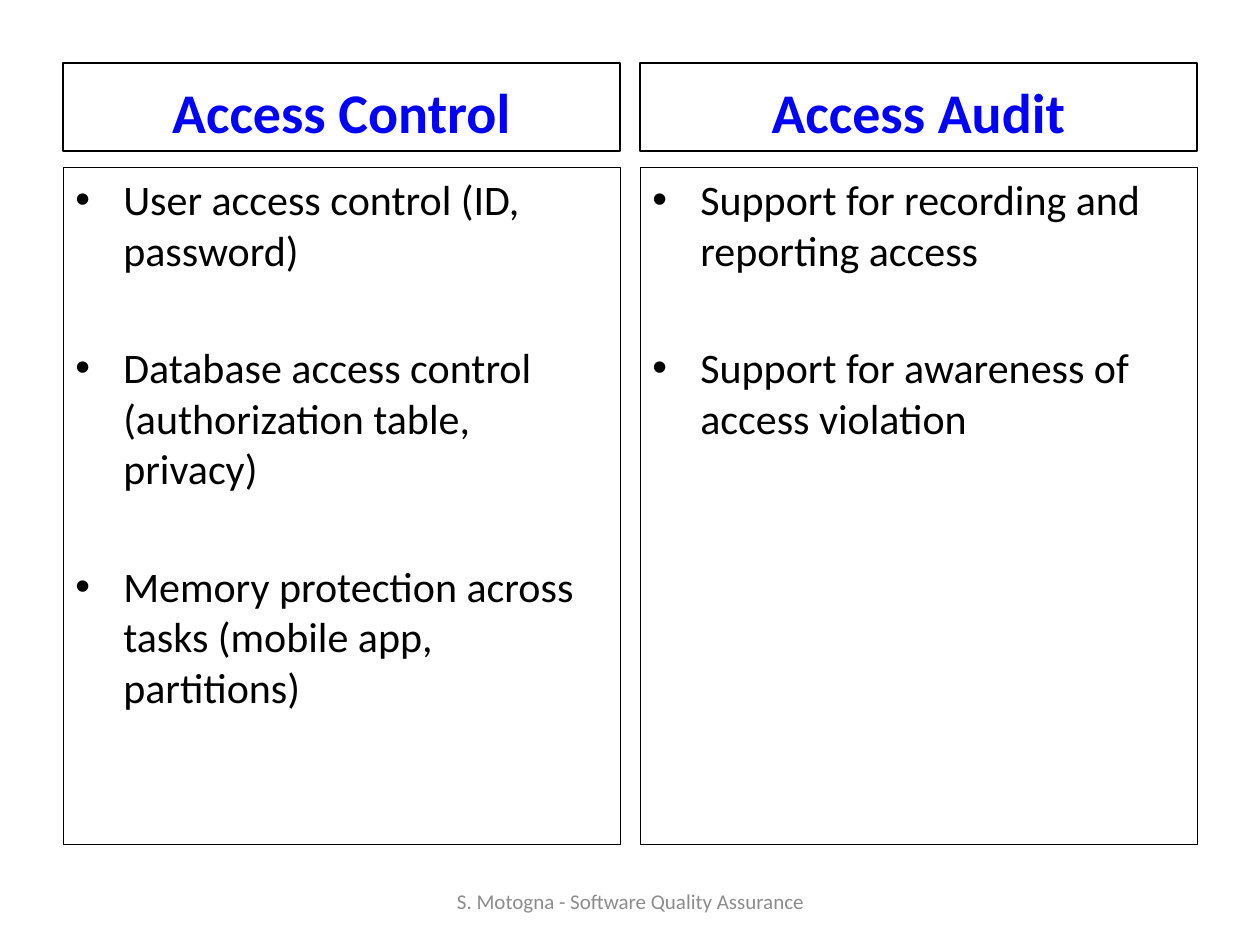
import pptx
import pptx.util
import pptx.dml.color
import pptx.enum.text
import pptx.enum.shapes
import pptx.oxml
from pptx.util import Inches

RGBColor = pptx.dml.color.RGBColor
BLACK = RGBColor(0x00, 0x00, 0x00)
BLUE = RGBColor(0x00, 0x00, 0xFF)
GRAY = RGBColor(0x8C, 0x8C, 0x8C)

ALIGN = pptx.enum.text.PP_ALIGN
ANCHOR = pptx.enum.text.MSO_ANCHOR
Pt = pptx.util.Pt

HEAD = {"name": "Calibri", "size": Pt(32), "bold": True}
BODY = {"name": "Calibri", "size": Pt(24), "bold": False}
FOOT = {"name": "Calibri", "size": Pt(12), "bold": False}

COLUMNS = [
    ("Access Control", [
        "User access control (ID, password)",
        "Database access control (authorization table, privacy)",
        "Memory protection across tasks (mobile app, partitions)",
    ]),
    ("Access Audit", [
        "Support for recording and reporting access",
        "Support for awareness of access violation",
    ]),
]


def set_all(item, values):
    for key, value in values.items():
        setattr(item, key, value)


def write(par, text, style, color, align):
    par.alignment = align
    run = par.add_run()
    run.text = text
    set_all(run.font, style)
    run.font.color.rgb = color


def add_frame(slide, left, top, width, height, weight, anchor):
    """Outlined box without fill; returns its text frame."""
    box = slide.shapes.add_shape(
        pptx.enum.shapes.MSO_SHAPE.RECTANGLE,
        Inches(left), Inches(top), Inches(width), Inches(height))
    box.shadow.inherit = False
    box.fill.background()
    box.line.color.rgb = BLACK
    box.line.width = Pt(weight)
    set_all(box.text_frame, {"word_wrap": True, "vertical_anchor": anchor})
    return box.text_frame


def add_bullet(par):
    props = par._p.get_or_add_pPr()
    props.set("marL", str(Inches(0.38)))
    props.set("indent", str(-Inches(0.38)))
    space = 'xmlns:a="http://schemas.openxmlformats.org/drawingml/2006/main"'
    for tag in ('buFont %s typeface="Arial"', 'buChar %s char="\u2022"'):
        props.append(pptx.oxml.parse_xml("<a:" + tag % space + "/>"))


def add_column(slide, left, top, width, height, title, points):
    # Heading
    head, gap = 0.7, 0.13
    frame = add_frame(slide, left, top, width, head, 1.5, ANCHOR.BOTTOM)
    write(frame.paragraphs[0], title, HEAD, BLUE, ALIGN.CENTER)

    # Bullet list
    shift = head + gap
    frame = add_frame(slide, left, top + shift, width, height - shift,
                      0.25, ANCHOR.TOP)
    for i, point in enumerate(points):
        par = frame.add_paragraph() if i else frame.paragraphs[0]
        par.space_before = Pt(38.5 if i else 0)
        add_bullet(par)
        write(par, point, BODY, BLACK, ALIGN.LEFT)


def add_footer(slide, left, top, width, height, text):
    box = slide.shapes.add_textbox(
        Inches(left), Inches(top), Inches(width), Inches(height))
    frame = box.text_frame
    set_all(frame, {"word_wrap": True, "vertical_anchor": ANCHOR.MIDDLE})
    write(frame.paragraphs[0], text, FOOT, GRAY, ALIGN.CENTER)


deck = pptx.Presentation()
set_all(deck, {"slide_width": Inches(10), "slide_height": Inches(7.5)})
slide = deck.slides.add_slide(deck.slide_layouts[6])

# Two columns, mirrored about the middle of the slide
margin, width = 0.5, 4.42
step = 10 - 2 * margin - width
for i, (title, points) in enumerate(COLUMNS):
    add_column(slide, margin + i * step, 0.5, width, 6.2, title, points)

# Footer
add_footer(slide, 3.42, 6.95, 3.17, 0.4,
           "S. Motogna - Software Quality Assurance")

deck.save("out.pptx")
